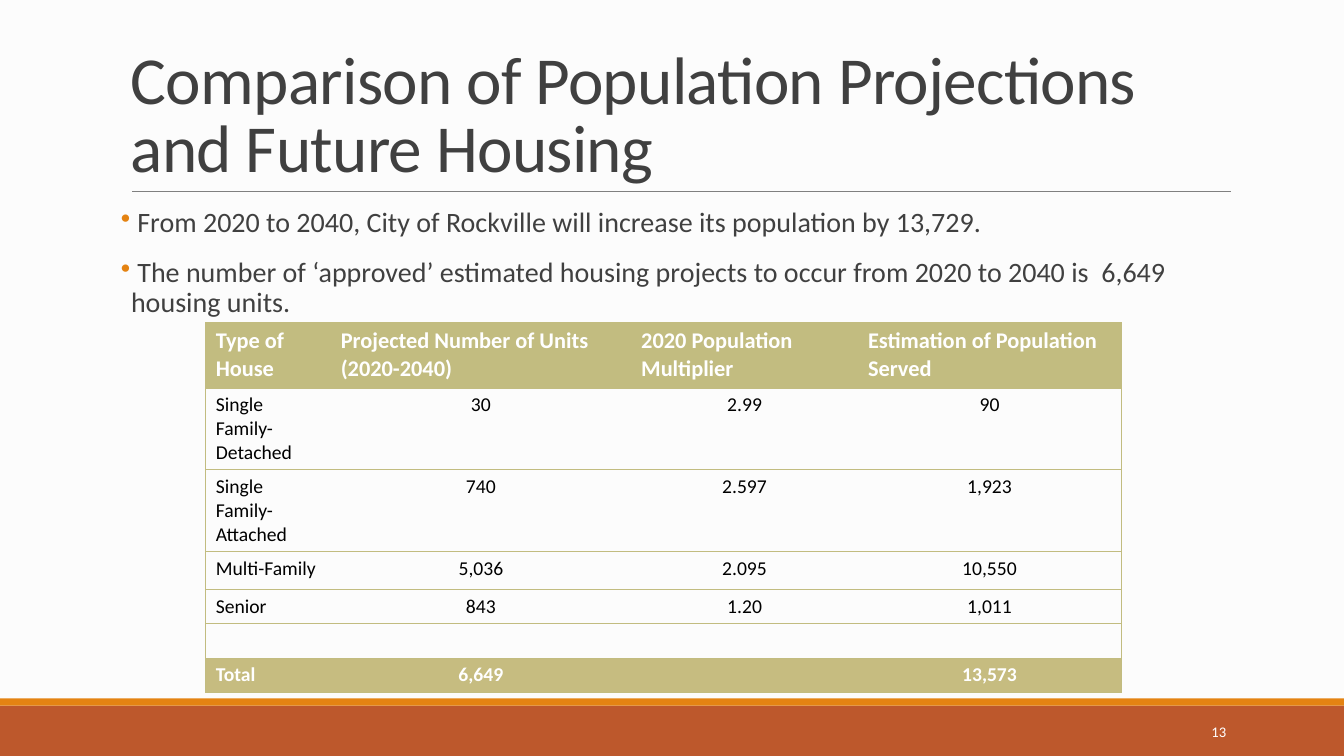
from pptx import Presentation
from pptx.dml.color import RGBColor
from pptx.enum.shapes import MSO_CONNECTOR, MSO_SHAPE
from pptx.enum.text import MSO_ANCHOR, PP_ALIGN
from pptx.oxml.ns import qn
from pptx.util import Inches, Pt
from lxml.etree import SubElement, Element

COLORS = {"background": "FCFCFC", "footer": "BD582C", "accent": "E48312",
          "rule": "808080", "text": "404040", "border": "C2BC80",
          "total": "C6BC80", "white": "FFFFFF", "black": "000000"}
FONT = "Calibri"
TITLE = "Comparison of Population Projections and Future Housing"
POINTS = [
    " From 2020 to 2040, City of Rockville will increase its population by 13,729.",
    " The number of ‘approved’ estimated housing projects to occur from 2020 to 2040 is  6,649 housing units.",
]
HOUSING = [
    ["Type of House", "Projected Number of Units (2020-2040)",
     "2020 Population Multiplier", "Estimation of Population Served"],
    ["Single Family-Detached", "30", "2.99", "90"],
    ["Single Family-Attached", "740", "2.597", "1,923"],
    ["Multi-Family", "5,036", "2.095", "10,550"],
    ["Senior", "843", "1.20", "1,011"],
    ["", "", "", ""],
    ["Total", "6,649", "", "13,573"],
]
COLUMN_WIDTHS = [1.24, 2.98, 2.25, 2.61]
ROW_HEIGHTS = [0.65, 0.81, 0.81, 0.38, 0.34, 0.34, 0.34]


def rgb(name):
    """Return the named colour."""
    return RGBColor.from_string(COLORS[name])


def write(paragraph, text, size, color="text", bold=False,
          align=PP_ALIGN.LEFT, spacing=None, tracking=None):
    """Fill a paragraph with formatted text."""
    paragraph.alignment = align
    if spacing:
        paragraph.line_spacing = spacing
    paragraph.font.size = Pt(size)
    if not text:
        SubElement(paragraph._p, qn("a:endParaRPr")).set("sz", str(size * 100))
        return
    run = paragraph.add_run()
    run.text = text
    run.font.name = FONT
    run.font.size = Pt(size)
    run.font.bold = bold
    run.font.color.rgb = rgb(color)
    if tracking:
        run.font._element.set("spc", str(round(tracking * 100)))


def add_text_frame(slide, left, top, width, height, anchor=MSO_ANCHOR.TOP, side=0.1):
    """Add a wrapping text box and return its text frame."""
    box = slide.shapes.add_textbox(Inches(left), Inches(top), Inches(width), Inches(height))
    frame = box.text_frame
    frame.word_wrap = True
    frame.vertical_anchor = anchor
    frame.margin_left = frame.margin_right = Inches(side)
    return frame


def add_band(slide, top, height, color):
    """Add a full-width footer band."""
    band = slide.shapes.add_shape(MSO_SHAPE.RECTANGLE, 0, Inches(top),
                                  Inches(13.33), Inches(height))
    band.shadow.inherit = False
    band.fill.solid()
    band.fill.fore_color.rgb = rgb(color)
    band.line.fill.background()


def add_rule(slide, left, right, y):
    """Add the thin line under the title."""
    rule = slide.shapes.add_connector(MSO_CONNECTOR.STRAIGHT, Inches(left), Inches(y),
                                      Inches(right), Inches(y))
    rule.line.color.rgb = rgb("rule")
    rule.line.width = Pt(0.5)
    SubElement(rule._element.spPr, qn("a:effectLst"))


def add_bullets(slide, points):
    """Add the bulleted statements."""
    frame = add_text_frame(slide, 1.2, 2.02, 11, 1.15, side=0)
    for index, point in enumerate(points):
        paragraph = frame.add_paragraph() if index else frame.paragraphs[0]
        write(paragraph, point, 20, spacing=0.9)
        paragraph.space_before = Pt(12)
        paragraph.space_after = Pt(2)
        properties = paragraph._p.get_or_add_pPr()
        properties.set("marL", str(Inches(0.1)))
        properties.set("indent", str(Inches(-0.1)))
        bullet_color = Element(qn("a:buClr"))
        SubElement(bullet_color, qn("a:srgbClr")).set("val", COLORS["accent"])
        bullet = Element(qn("a:buChar"))
        bullet.set("char", "•")
        properties.find(qn("a:spcAft")).addnext(bullet_color)
        bullet_color.addnext(bullet)


def set_borders(cell, visible):
    """Draw the sides named in visible and clear the others."""
    properties = cell._tc.get_or_add_tcPr()
    for position, side in enumerate("LRTB"):
        border = Element(qn("a:ln" + side))
        border.set("w", str(Pt(0.75)))
        if side in visible:
            fill = SubElement(border, qn("a:solidFill"))
            SubElement(fill, qn("a:srgbClr")).set("val", COLORS["border"])
        else:
            SubElement(border, qn("a:noFill"))
        properties.insert(position, border)


def add_housing_table(slide, rows):
    """Add the housing table with its header and total rows."""
    last_row, last_column = len(rows) - 1, len(COLUMN_WIDTHS) - 1
    table = slide.shapes.add_table(
        len(rows), len(COLUMN_WIDTHS), Inches(2.04), Inches(3.2),
        Inches(sum(COLUMN_WIDTHS)), Inches(sum(ROW_HEIGHTS))).table
    table.horz_banding = False
    for column, width in zip(table.columns, COLUMN_WIDTHS):
        column.width = Inches(width)
    row_fills = {0: "border", last_row: "total"}
    for r, values in enumerate(rows):
        table.rows[r].height = Inches(ROW_HEIGHTS[r])
        for c, value in enumerate(values):
            cell = table.cell(r, c)
            emphasized = r in row_fills
            write(cell.text_frame.paragraphs[0], value, 14 if r else 16,
                  color="white" if emphasized else "black", bold=emphasized,
                  align=PP_ALIGN.CENTER if r and c else PP_ALIGN.LEFT)
            set_borders(cell, "TB" + "L" * (c == 0) + "R" * (c == last_column))
            if emphasized:
                cell.fill.solid()
                cell.fill.fore_color.rgb = rgb(row_fills[r])
            else:
                cell.fill.background()


def main():
    """Build and save the slide."""
    deck = Presentation()
    deck.slide_width, deck.slide_height = Inches(13.33), Inches(7.5)
    slide = deck.slides.add_slide(deck.slide_layouts[6])
    slide.background.fill.solid()
    slide.background.fill.fore_color.rgb = rgb("background")
    add_band(slide, 7, 0.5, "footer")
    add_band(slide, 6.93, 0.07, "accent")
    add_rule(slide, 1.31, 12.21, 1.9)
    title = add_text_frame(slide, 1.2, 0.31, 11, 1.59, anchor=MSO_ANCHOR.BOTTOM)
    write(title.paragraphs[0], TITLE, 48, spacing=0.85, tracking=-0.5)
    add_bullets(slide, POINTS)
    add_housing_table(slide, HOUSING)
    number = add_text_frame(slide, 10.83, 7.06, 1.43, 0.4, anchor=MSO_ANCHOR.MIDDLE)
    write(number.paragraphs[0], "13", 10.5, color="white", align=PP_ALIGN.RIGHT)
    deck.save("out.pptx")


if __name__ == "__main__":
    main()
